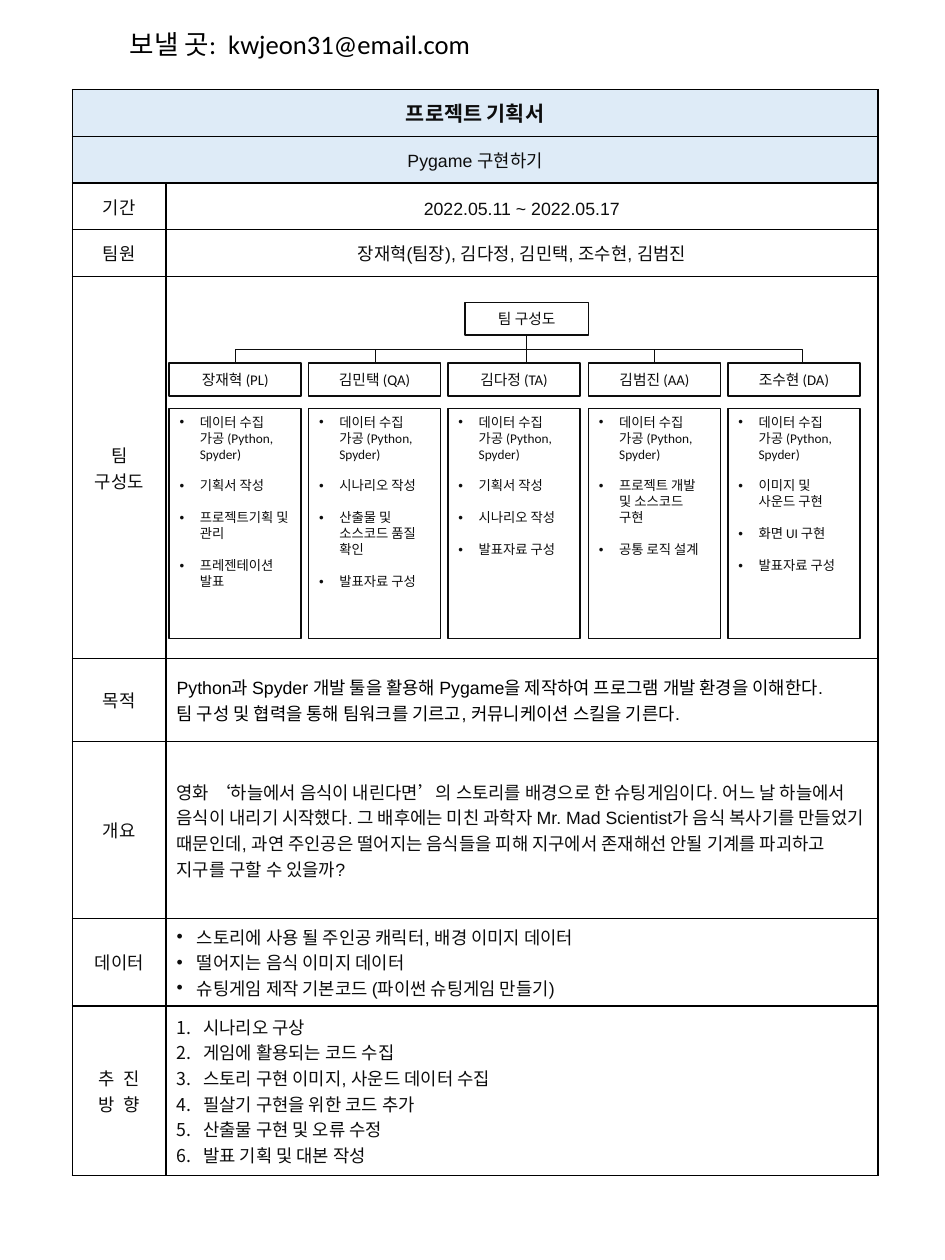
from dataclasses import dataclass
from lxml.etree import SubElement
from pptx import Presentation
from pptx.dml.color import RGBColor
from pptx.enum.shapes import MSO_CONNECTOR, MSO_SHAPE
from pptx.enum.text import MSO_ANCHOR, PP_ALIGN
from pptx.oxml.ns import qn
from pptx.util import Pt

PX = 9144


@dataclass(frozen=True)
class Theme:
    ink: str = "0D0D0D"
    black: str = "000000"
    white: str = "FFFFFF"
    band: str = "DEEBF7"
    sans: str = "Arial"
    body: str = "Calibri"
    mail: int = 18
    title: int = 14
    cell: int = 12
    card: int = 10
    note: int = 9
    cell_step: float = 17.4
    note_step: float = 10.8


class Sheet:
    def __init__(self, slide, theme):
        self.slide = slide
        self.theme = theme

    def words(self, frame, lines, size, font, ink=None, align=PP_ALIGN.CENTER,
              bold=False, mark=None, step=None, gap=0):
        frame.word_wrap = True
        frame.text = "\n".join(lines)
        for index, para in enumerate(frame.paragraphs):
            para.alignment = align
            if step:
                para.line_spacing = Pt(step)
            if gap and index:
                para.space_before = Pt(gap)
            for run in para.runs:
                run.font.size = Pt(size)
                run.font.name = font
                run.font.bold = bold
                run.font.color.rgb = RGBColor.from_string(ink or self.theme.ink)
            if mark:
                self.bullet(para, mark)

    def bullet(self, para, mark):
        props = para._p.get_or_add_pPr()
        indent = (25 if mark == "num" else 19) * PX
        props.set("marL", str(indent))
        props.set("indent", str(-indent))
        SubElement(props, qn("a:buFont"), typeface=self.theme.sans)
        if mark == "num":
            SubElement(props, qn("a:buAutoNum"), type="arabicPeriod")
        else:
            SubElement(props, qn("a:buChar"), char="•")

    def label(self, x, y, w, h, text):
        box = self.slide.shapes.add_textbox(x * PX, y * PX, w * PX, h * PX)
        self.words(box.text_frame, [text], self.theme.mail, self.theme.body,
                   self.theme.black, PP_ALIGN.LEFT)

    def box(self, x, y, w, h):
        box = self.slide.shapes.add_shape(
            MSO_SHAPE.RECTANGLE, x * PX, y * PX, w * PX, h * PX)
        box.shadow.inherit = False
        box.fill.solid()
        box.fill.fore_color.rgb = RGBColor.from_string(self.theme.white)
        box.line.color.rgb = RGBColor.from_string(self.theme.ink)
        box.line.width = Pt(1)
        return box.text_frame

    def card(self, x, y, w, h, text):
        frame = self.box(x, y, w, h)
        frame.vertical_anchor = MSO_ANCHOR.MIDDLE
        self.words(frame, [text], self.theme.card, self.theme.body)

    def notes(self, x, y, w, h, lines):
        frame = self.box(x, y, w, h)
        frame.vertical_anchor = MSO_ANCHOR.TOP
        step = self.theme.note_step
        self.words(frame, lines, self.theme.note, self.theme.body,
                   align=PP_ALIGN.LEFT, mark="dot", step=step, gap=step)

    def branch(self, x, y, end, drop):
        if end == x:
            kind, points, turn = MSO_CONNECTOR.STRAIGHT, (x, y, x, y + drop), 0
        else:
            kind = MSO_CONNECTOR.ELBOW
            side = 1 if end < x else -1
            mid, half = (x + end) / 2, abs(x - end) / 2
            core = y + drop / 2
            points = (mid - side * drop / 2, core - half,
                      mid + side * drop / 2, core + half)
            turn = 90 if end < x else 270
        line = self.slide.shapes.add_connector(kind, *(int(p * PX) for p in points))
        props = line._element.spPr
        if turn:
            props.find(qn("a:xfrm")).set("rot", str(turn * 60000))
        line.line.color.rgb = RGBColor.from_string(self.theme.ink)
        line.line.width = Pt(0.5)
        SubElement(props, qn("a:effectLst"))

    def cell(self, cell, lines, look="mid", fill=None):
        theme = self.theme
        props = cell._tc.get_or_add_tcPr()
        for side in ("lnL", "lnR", "lnT", "lnB"):
            edge = SubElement(props, qn(f"a:{side}"), w=str(Pt(1)))
            paint = SubElement(edge, qn("a:solidFill"))
            SubElement(paint, qn("a:srgbClr"), val=theme.black)
        cell.fill.solid()
        cell.fill.fore_color.rgb = RGBColor.from_string(fill or theme.white)
        cell.vertical_anchor = MSO_ANCHOR.MIDDLE
        if not lines:
            return
        head = look == "head"
        self.words(cell.text_frame, lines,
                   theme.title if head else theme.cell, theme.sans,
                   theme.black if look == "black" else theme.ink,
                   PP_ALIGN.CENTER if look in ("mid", "head") else PP_ALIGN.LEFT,
                   head, look if look in ("dot", "num") else None,
                   None if head else theme.cell_step)

    def table(self, x, y, cols, tall, heads, rows):
        grid = self.slide.shapes.add_table(
            len(tall), len(cols), x * PX, y * PX, sum(cols) * PX, sum(tall) * PX).table
        grid.first_row = grid.horz_banding = False
        for col, w in zip(grid.columns, cols):
            col.width = w * PX
        for row, h in zip(grid.rows, tall):
            row.height = h * PX
        for r, (text, look) in enumerate(heads):
            grid.cell(r, 0).merge(grid.cell(r, 1))
            self.cell(grid.cell(r, 0), [text], look, self.theme.band)
            self.cell(grid.cell(r, 1), [], fill=self.theme.band)
        for r, (name, look, lines) in enumerate(rows, len(heads)):
            self.cell(grid.cell(r, 0), name)
            self.cell(grid.cell(r, 1), lines, look)


HEADS = [("프로젝트 기획서", "head"), ("Pygame 구현하기", "mid")]
ROWS = [
    (["기간"], "mid", ["2022.05.11 ~ 2022.05.17"]),
    (["팀원"], "mid", ["장재혁(팀장), 김다정, 김민택, 조수현, 김범진"]),
    (["팀", "구성도"], "mid", []),
    (["목적"], "black", [
        "Python과 Spyder 개발 툴을 활용해 Pygame을 제작하여 프로그램 개발 환경을 이해한다.",
        "팀 구성 및 협력을 통해 팀워크를 기르고, 커뮤니케이션 스킬을 기른다."]),
    (["개요"], "left", [
        "영화 ‘하늘에서 음식이 내린다면’의 스토리를 배경으로 한 슈팅게임이다. "
        "어느 날 하늘에서 음식이 내리기 시작했다. 그 배후에는 미친 과학자 "
        "Mr. Mad Scientist가 음식 복사기를 만들었기 때문인데, 과연 주인공은 "
        "떨어지는 음식들을 피해 지구에서 존재해선 안될 기계를 파괴하고 "
        "지구를 구할 수 있을까?"]),
    (["데이터"], "dot", [
        "스토리에 사용 될 주인공 캐릭터, 배경 이미지 데이터",
        "떨어지는 음식 이미지 데이터",
        "슈팅게임 제작 기본코드 (파이썬 슈팅게임 만들기)"]),
    (["추  진", "방  향"], "num", [
        "시나리오 구상", "게임에 활용되는 코드 수집",
        "스토리 구현 이미지, 사운드 데이터 수집", "필살기 구현을 위한 코드 추가",
        "산출물 구현 및 오류 수정", "발표 기획 및 대본 작성"]),
]
SHARED = "데이터 수집 가공 (Python, Spyder)"
TEAM = [
    ("장재혁 (PL)", 221, ["기획서 작성", "프로젝트기획 및 관리", "프레젠테이션 발표"]),
    ("김민택 (QA)", 353, ["시나리오 작성", "산출물 및 소스코드 품질 확인", "발표자료 구성"]),
    ("김다정 (TA)", 495, ["기획서 작성", "시나리오 작성", "발표자료 구성"]),
    ("김범진 (AA)", 615, ["프로젝트 개발 및 소스코드 구현", "공통 로직 설계"]),
    ("조수현 (DA)", 754, ["이미지 및 사운드 구현", "화면 UI 구현", "발표자료 구성"]),
]


def main():
    deck = Presentation()
    deck.slide_width, deck.slide_height = 888 * PX, 1184 * PX
    sheet = Sheet(deck.slides.add_slide(deck.slide_layouts[6]), Theme())
    sheet.table(68, 84, [88, 669], [44] * 4 + [359, 78, 166, 77, 159], HEADS, ROWS)
    sheet.label(112, 21, 372, 40, "보낼 곳:  kwjeon31@email.com")
    sheet.card(437, 284, 116, 31, "팀 구성도")
    for index, (name, end, tasks) in enumerate(TEAM):
        left = 159 + round(131.25 * index)
        sheet.branch(495, 315, end, 26)
        sheet.card(left, 341, 124, 31, name)
        sheet.notes(left, 384, 124, 216, [SHARED] + tasks)
    deck.save("out.pptx")


if __name__ == "__main__":
    main()
